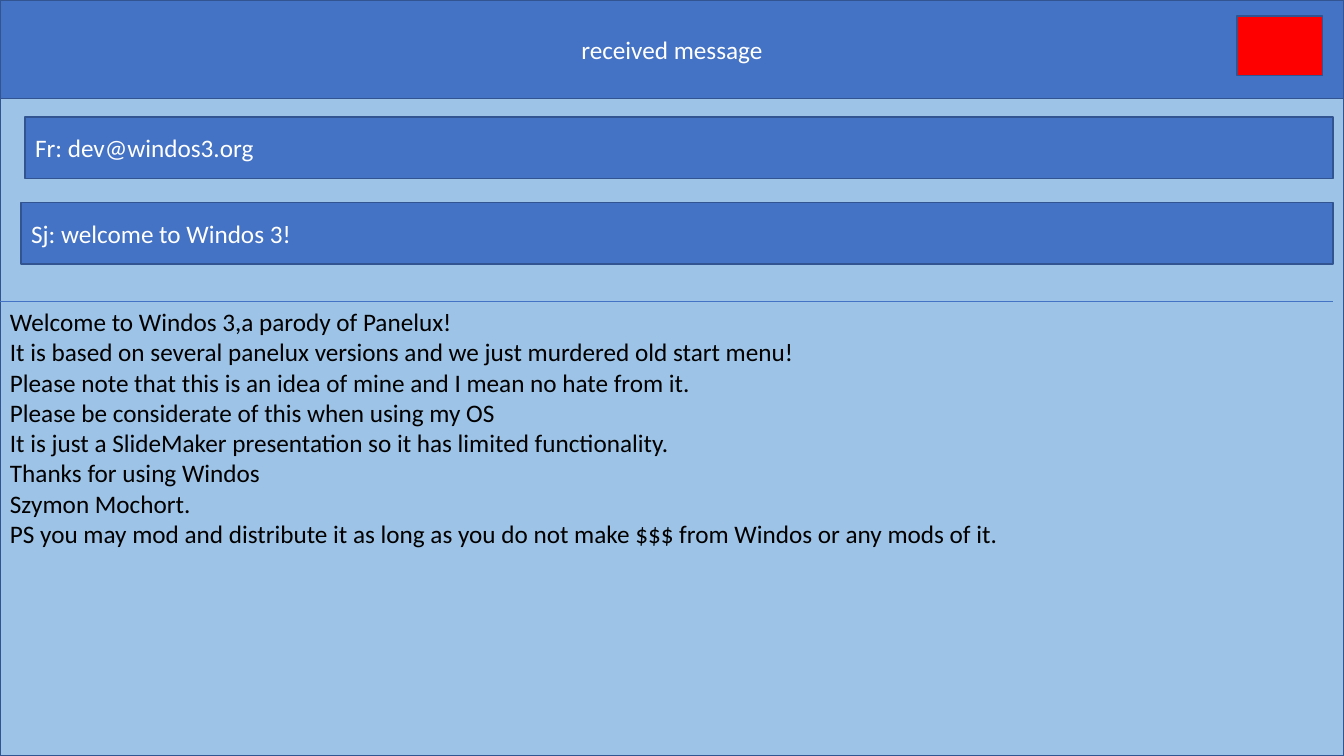
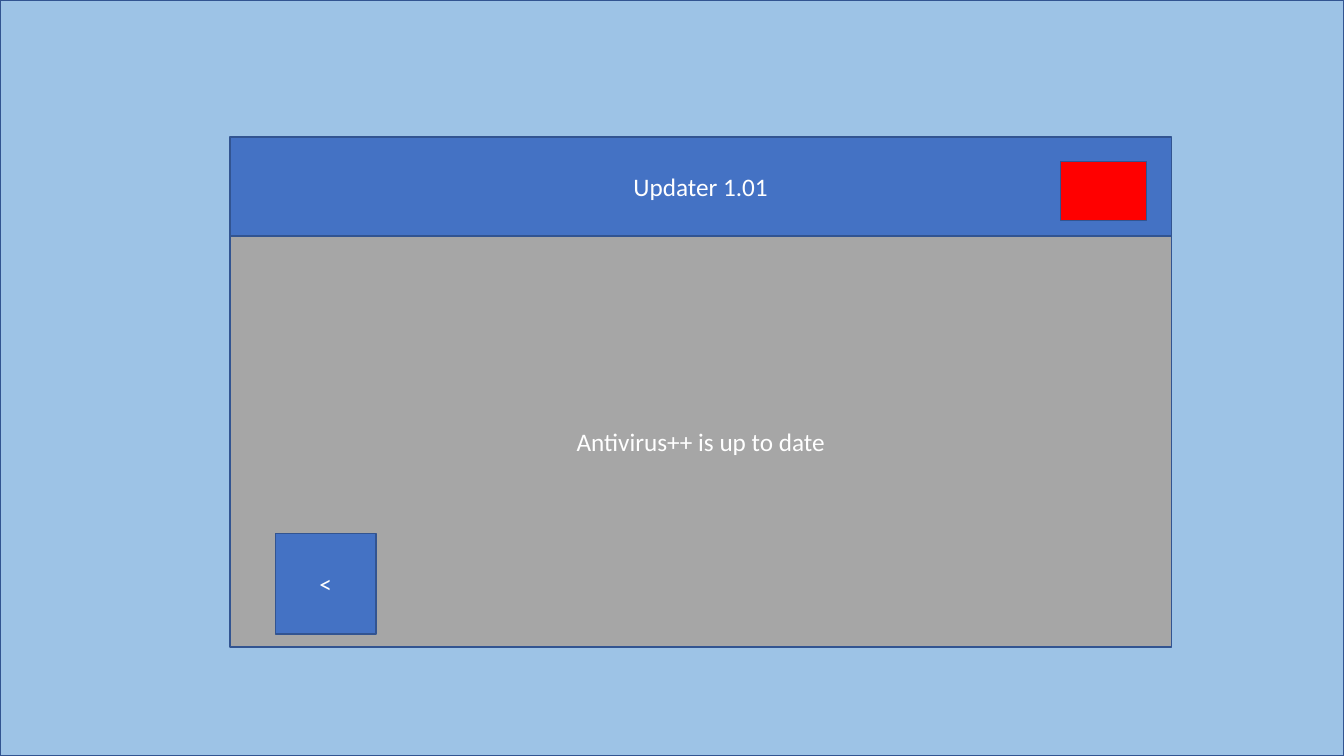
"""Build two desktop window slides: a received message and an updater."""
from pptx import Presentation
from pptx.dml.color import RGBColor
from pptx.enum.shapes import MSO_CONNECTOR, MSO_SHAPE
from pptx.enum.text import MSO_ANCHOR, MSO_AUTO_SIZE, PP_ALIGN
from pptx.oxml.ns import qn
from pptx.util import Inches, Pt
from lxml import etree

RECTANGLE = MSO_SHAPE.RECTANGLE
STRAIGHT = MSO_CONNECTOR.STRAIGHT
LEFT, CENTER = PP_ALIGN.LEFT, PP_ALIGN.CENTER
TOP, MIDDLE = MSO_ANCHOR.TOP, MSO_ANCHOR.MIDDLE

COLORS = {
    "desktop": "9DC3E6", "bar": "4472C4", "outline": "325491", "close": "FF0000",
    "panel": "A6A6A6", "light": "FFFFFF", "dark": "000000",
}
FONT = {"name": "Calibri", "size": Pt(18)}

SLIDE_W, SLIDE_H = 13.33, 7.5
BAR_H = 0.98
CLOSE_W, CLOSE_H = 0.85, 0.59

MESSAGE_TITLE = "received message"
MESSAGE_FIELDS = [
    ("Fr: dev@windos3.org", 0.25),
    ("Sj: welcome to Windos 3!", 0.21),
]
MESSAGE_BODY = [
    "Welcome to Windos 3,a parody of Panelux!",
    "It is based on several panelux versions and we just murdered old start menu!",
    "Please note that this is an idea of mine and I mean no hate from it.",
    "Please be considerate of this when using my OS",
    "It is just a SlideMaker presentation so it has limited functionality.",
    "Thanks for using Windos",
    "Szymon Mochort.",
    "PS you may mod and distribute it as long as you do not make $$$ from Windos or any mods of it.",
]
FIELD_TOP, FIELD_STEP, FIELD_H = 1.16, 0.85, 0.61
CONTENT_RIGHT, BODY_TOP, BODY_H = 13.22, 2.99, 2.52

UPDATER_TITLE = "Updater 1.01"
UPDATER_STATUS = "Antivirus++ is up to date"
BACK_LABEL = "<"
WINDOW_X, WINDOW_Y, WINDOW_W, PANEL_H = 2.28, 1.36, 9.34, 4.08


def rgb(color):
    return RGBColor.from_string(COLORS[color])


def write(frame, lines, color, align, anchor):
    frame.word_wrap = True
    frame.vertical_anchor = anchor
    for index, line in enumerate(lines):
        paragraph = frame.paragraphs[0] if index == 0 else frame.add_paragraph()
        paragraph.alignment = align
        run = paragraph.add_run()
        run.text = line
        for attribute, value in FONT.items():
            setattr(run.font, attribute, value)
        run.font.color.rgb = rgb(color)


def add_box(slide, x, y, w, h, fill, text=None, align=CENTER):
    box = slide.shapes.add_shape(RECTANGLE, Inches(x), Inches(y), Inches(w), Inches(h))
    box.shadow.inherit = False
    box.fill.solid()
    box.fill.fore_color.rgb = rgb(fill)
    box.line.color.rgb = rgb("outline")
    box.line.width = Pt(1)
    if text:
        write(box.text_frame, [text], "light", align, MIDDLE)


def add_desktop(deck):
    slide = deck.slides.add_slide(deck.slide_layouts[6])
    add_box(slide, 0, 0, SLIDE_W, SLIDE_H, "desktop")
    return slide


def add_title_bar(slide, x, y, w, title, close_x, close_y):
    add_box(slide, x, y, w, BAR_H, "bar", title)
    add_box(slide, close_x, close_y, CLOSE_W, CLOSE_H, "close")


def add_divider(slide, y, right):
    divider = slide.shapes.add_connector(STRAIGHT, 0, Inches(y), Inches(right), Inches(y))
    divider.line.color.rgb = rgb("bar")
    divider.line.width = Pt(0.5)
    etree.SubElement(divider._element.spPr, qn("a:effectLst"))


def build_message(deck):
    slide = add_desktop(deck)
    add_title_bar(slide, 0, 0, SLIDE_W, MESSAGE_TITLE, 12.27, 0.16)
    for row, (text, x) in enumerate(MESSAGE_FIELDS):
        add_box(slide, x, FIELD_TOP + row * FIELD_STEP, CONTENT_RIGHT - x, FIELD_H,
                "bar", text, LEFT)
    add_divider(slide, BODY_TOP, CONTENT_RIGHT)
    body = slide.shapes.add_textbox(0, Inches(BODY_TOP), Inches(CONTENT_RIGHT), Inches(BODY_H))
    write(body.text_frame, MESSAGE_BODY, "dark", LEFT, TOP)
    body.text_frame.auto_size = MSO_AUTO_SIZE.SHAPE_TO_FIT_TEXT


def build_updater(deck):
    slide = add_desktop(deck)
    add_box(slide, WINDOW_X, WINDOW_Y + BAR_H, WINDOW_W, PANEL_H, "panel", UPDATER_STATUS)
    add_title_bar(slide, WINDOW_X, WINDOW_Y, WINDOW_W, UPDATER_TITLE, 10.52, 1.6)
    add_box(slide, 2.73, 5.29, 1, 1, "bar", BACK_LABEL)


def main():
    deck = Presentation()
    deck.slide_width, deck.slide_height = Inches(SLIDE_W), Inches(SLIDE_H)
    build_message(deck)
    build_updater(deck)
    deck.save("out.pptx")


if __name__ == "__main__":
    main()
